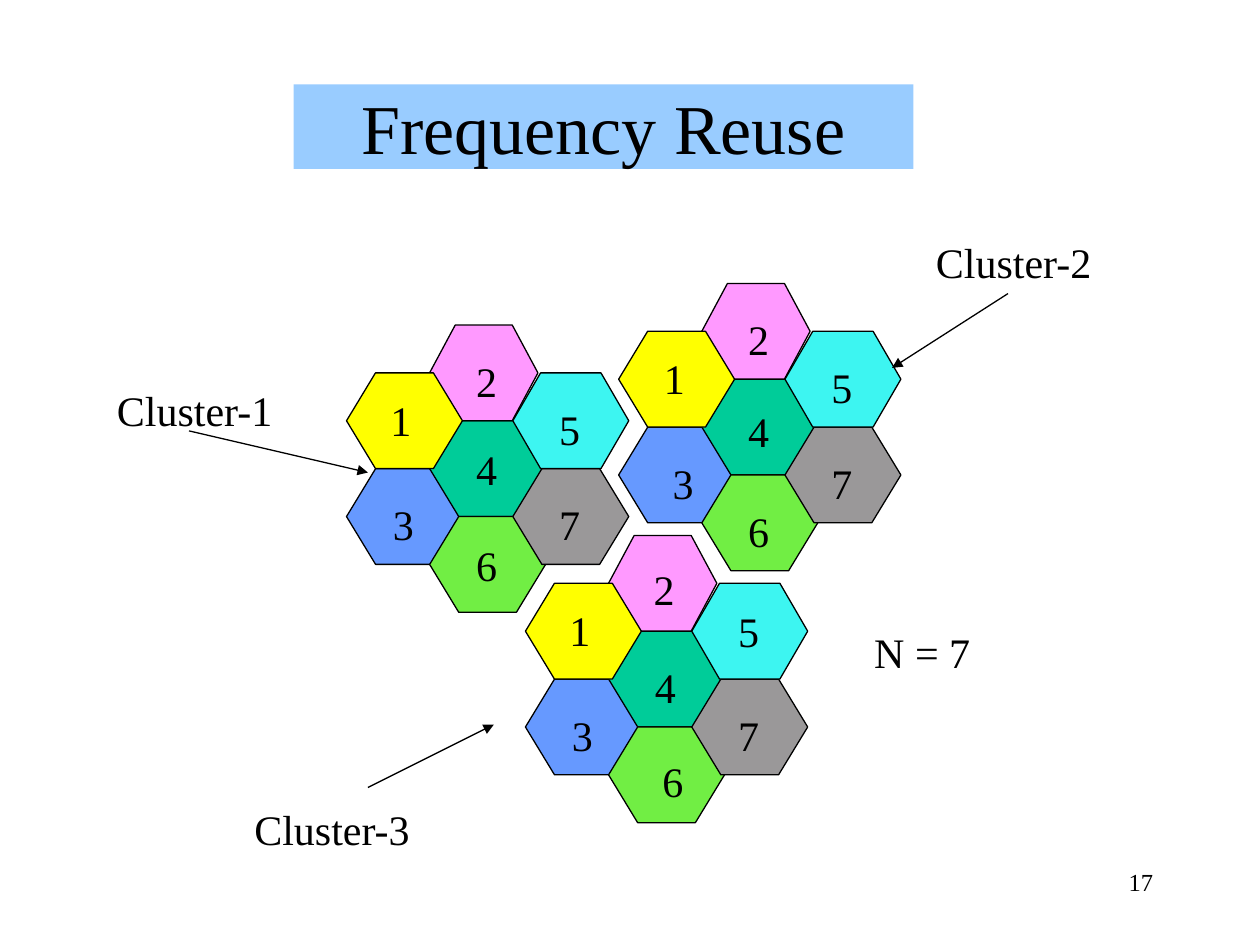
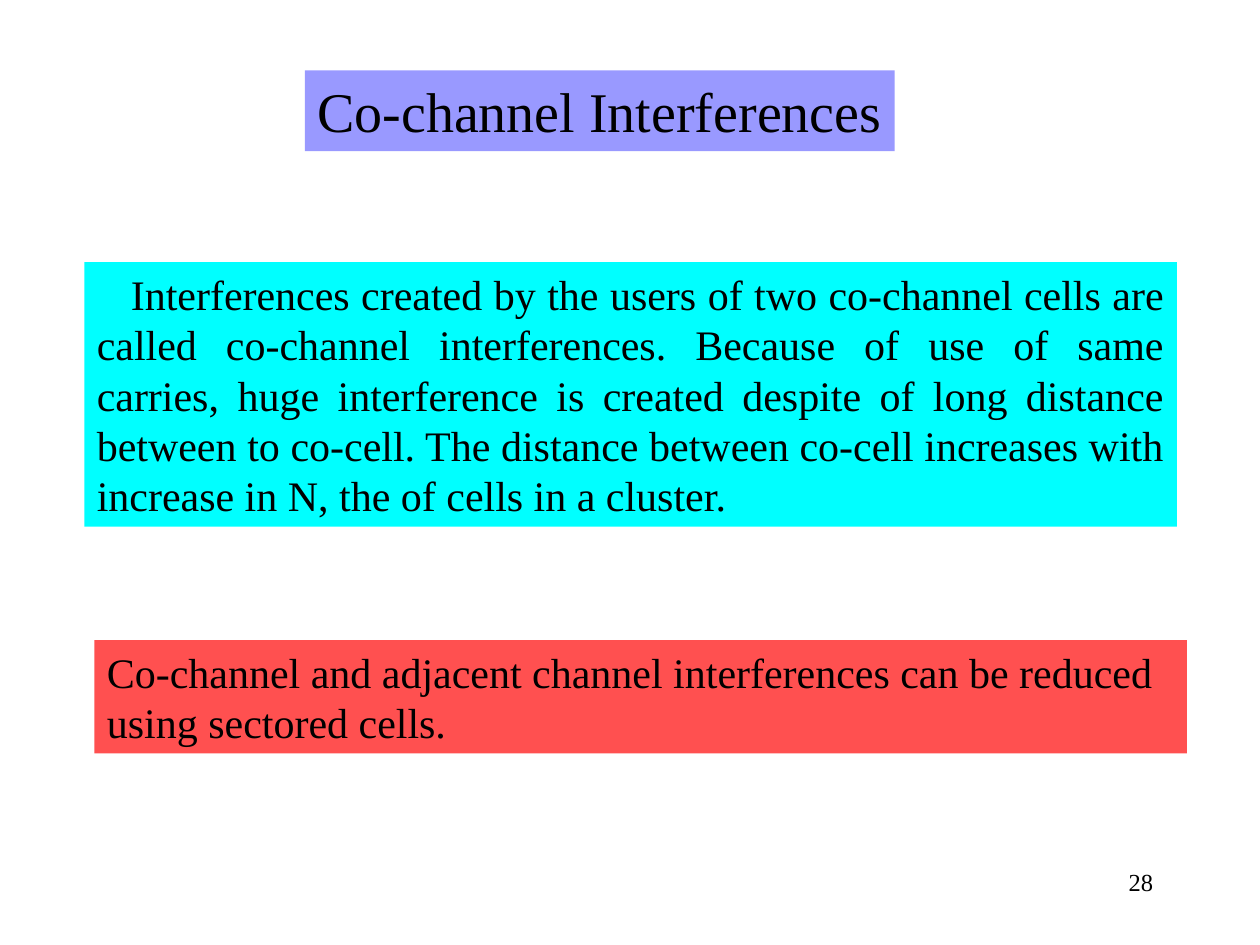
"""Build two slides on frequency reuse and co-channel interference."""
from dataclasses import dataclass

from lxml.etree import SubElement
from pptx import Presentation
from pptx.dml.color import RGBColor as RGB
from pptx.enum.shapes import MSO_CONNECTOR as Connector, MSO_SHAPE as Shape
from pptx.enum.text import MSO_ANCHOR as Anchor, PP_ALIGN as Align
from pptx.oxml.ns import qn
from pptx.util import Inches, Pt


@dataclass(frozen=True)
class Theme:
    font: str = "Times New Roman"
    ink: str = "000000"
    reuse_title: str = "99CCFF"
    interference_title: str = "9999FF"
    definition: str = "00FFFF"
    remedy: str = "FF5050"
    cells: tuple = ("FFFF00", "FF99FF", "6699FF", "00CC99", "3DF5F1", "71EE44", "9A9899")
    title_size: int = 40
    subtitle_size: int = 32
    body_size: int = 24
    number_size: int = 14
    line_width: float = 0.75


theme = Theme()


def add_text(slide, text, left, top, width, height, size=theme.body_size, fill=None,
             align=Align.LEFT, wrap=True, anchor=Anchor.TOP, right_inset=0.1):
    box = slide.shapes.add_textbox(Inches(left), Inches(top), Inches(width), Inches(height))
    if fill:
        box.fill.solid()
        box.fill.fore_color.rgb = RGB.from_string(fill)
    frame = box.text_frame
    frame.word_wrap = wrap
    frame.vertical_anchor = anchor
    frame.margin_right = Inches(right_inset)
    frame.text = text
    paragraph = frame.paragraphs[0]
    paragraph.alignment = align
    font = paragraph.runs[0].font
    font.name = theme.font
    font.size = Pt(size)
    font.color.rgb = RGB.from_string(theme.ink)
    return paragraph


def add_numbered_slide(deck, number):
    slide = deck.slides.add_slide(deck.slide_layouts[6])
    add_text(slide, number, 7.17, 6.83, 2.08, 0.5, theme.number_size, align=Align.RIGHT)
    return slide


deck = Presentation()
deck.slide_width = Inches(10)
deck.slide_height = Inches(7.5)

reuse = add_numbered_slide(deck, "17")
add_text(reuse, "Frequency Reuse", 2.33, 0.67, 4.92, 0.67, theme.title_size,
         theme.reuse_title, Align.CENTER, anchor=Anchor.MIDDLE)

column_step, row_step = 0.66, 0.38
cell_height = 2 * row_step
cell_layout = [
    (3, 0, 3, 0.92, 0.304),
    (4, 1, 2, 0.92, 0.304),
    (6, 1, 4, 0.92, 0.304),
    (7, 2, 3, 0.92, 0.304),
    (5, 2, 1, 0.92, 0.29),
    (2, 1, 0, 0.86, 0.268),
    (1, 0, 1, 0.92, 0.303),
]
usual_offset = (0.27, 0.19)
clusters = [
    (4.91, 2.25, {1: (0.26, 0.12), 3: (0.33, 0.19), 4: (0.27, 0.16)}),
    (2.75, 2.58, {1: (0.25, 0.12), 4: (0.27, 0.13), 6: (0.27, 0.13)}),
    (4.17, 4.25, {1: (0.25, 0.12), 2: (0.26, 0.17), 5: (0.27, 0.13), 6: (0.33, 0.18)}),
]

for cluster_left, cluster_top, digit_offsets in clusters:
    digits = []
    for channel, column, row, width, slant in cell_layout:
        left = cluster_left + column * column_step
        top = cluster_top + row * row_step
        cell = reuse.shapes.add_shape(Shape.HEXAGON, Inches(left), Inches(top),
                                      Inches(width), Inches(cell_height))
        cell.adjustments[0] = slant
        cell.shadow.inherit = False
        cell.fill.solid()
        cell.fill.fore_color.rgb = RGB.from_string(theme.cells[channel - 1])
        cell.line.color.rgb = RGB.from_string(theme.ink)
        cell.line.width = Pt(theme.line_width)
        right, down = digit_offsets.get(channel, usual_offset)
        digits.append((str(channel), left + right, top + down))
    for digit, left, top in digits:
        add_text(reuse, digit, left, top, 0.36, 0.5, wrap=False)

add_text(reuse, "N = 7", 6.84, 4.92, 0.96, 0.5, wrap=False)

callouts = [
    ("Cluster-1", 0.83, 3, (1.5, 3.42), (2.92, 3.75)),
    ("Cluster-2", 7.33, 1.83, (8, 2.33), (7.08, 2.92)),
    ("Cluster-3", 1.92, 6.33, (2.92, 6.25), (3.92, 5.75)),
]
for cluster_name, left, top, start, end in callouts:
    add_text(reuse, cluster_name, left, top, 1.58, 0.5)
    pointer = reuse.shapes.add_connector(Connector.STRAIGHT, *map(Inches, start + end))
    pointer.line.color.rgb = RGB.from_string(theme.ink)
    pointer.line.width = Pt(theme.line_width)
    SubElement(pointer.line._get_or_add_ln(), qn("a:tailEnd"), type="triangle")
    SubElement(pointer._element.spPr, qn("a:effectLst"))

interference = add_numbered_slide(deck, "28")
add_text(interference, "Co-channel Interferences", 2.42, 0.56, 4.68, 0.64,
         theme.subtitle_size, theme.interference_title, right_inset=0)
definition = add_text(
    interference,
    "Interferences created by the users of two co-channel cells are called co-channel "
    "interferences. Because of use of same carries, huge interference is created despite "
    "of long distance between to co-cell. The distance between co-cell increases with "
    "increase in N, the of cells in a cluster.",
    0.67, 2.08, 8.67, 2.1, fill=theme.definition, align=Align.JUSTIFY)
definition._p.get_or_add_pPr().set("indent", str(Inches(0.27)))
add_text(interference,
         "Co-channel and adjacent channel interferences can be reduced using sectored cells.",
         0.75, 5.08, 8.67, 0.9, fill=theme.remedy)

deck.save("out.pptx")
